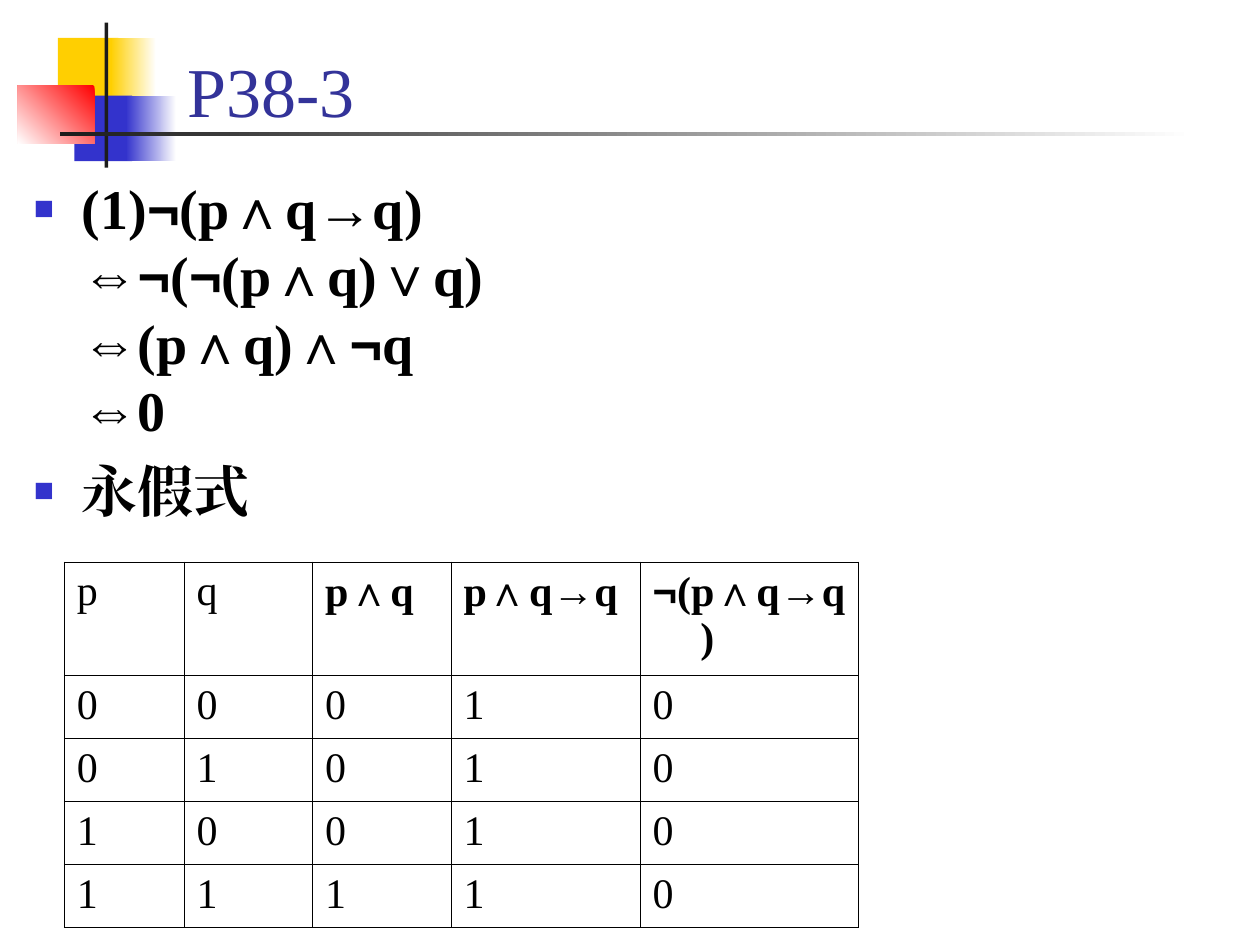
from itertools import groupby

from lxml.etree import SubElement
from pptx import Presentation
from pptx.dml.color import RGBColor as RGB
from pptx.enum.shapes import MSO_SHAPE as Shape
from pptx.enum.text import MSO_ANCHOR as Anchor
from pptx.oxml import parse_xml
from pptx.oxml.ns import nsdecls, qn
from pptx.util import Inches, Pt

THEME = {
    "white": "FFFFFF", "gold": "FFCF01", "blue": "3333CC", "red": "FF0000",
    "dark": "1C1C1C", "rule": "000000",
    "serif": "Times New Roman", "sans": "Arial",
    "title": {"size": Pt(40), "color": "333399", "bold": False},
    "body": {"size": Pt(32), "color": "000000", "bold": True},
    "cell": {"size": Pt(24), "color": "000000", "bold": False},
    "head": {"size": Pt(24), "color": "000000", "bold": True},
}
SIGNS = "¬∧∨→⇔"
HANG = Inches(0.38)


def write(para, text, style):
    """Add text as runs, with logic signs in the sans font."""
    for sign, chars in groupby(text, key=lambda c: c in SIGNS):
        run = para.add_run()
        run.text = "".join(chars)
        face = THEME["sans" if sign else "serif"]
        form = {"name": face, "size": style["size"], "bold": style["bold"]}
        for key, value in form.items():
            setattr(run.font, key, value)
        run.font.color.rgb = RGB.from_string(style["color"])
        SubElement(run.font._element, qn("a:ea"), typeface=face)


def hang(para):
    """Give a paragraph a hanging indent and return its properties."""
    props = para._p.get_or_add_pPr()
    props.set("marL", str(HANG))
    props.set("indent", str(-HANG))
    return props


deck = Presentation()
deck.slide_width, deck.slide_height = Inches(10), Inches(7.5)
slide = deck.slides.add_slide(deck.slide_layouts[6])

# Corner blocks: left, top, width, height, colours, clockwise angle
blocks = [
    (0.46, 0.3, 0.48, 0.52, ["gold"], 0),
    (0.88, 0.3, 0.36, 0.52, ["white", "gold"], 180),
    (0.59, 0.76, 0.46, 0.52, ["blue"], 0),
    (1, 0.76, 0.4, 0.52, ["white", "blue"], 180),
    (0.14, 0.68, 0.61, 0.46, ["red", "white"], 135),
    (0.83, 0.18, 0.03, 1.15, ["dark"], 0),
    (0.48, 1.05, 9, 0.03, ["white", "dark"], 180),
]
for *box, tones, angle in blocks:
    block = slide.shapes.add_shape(Shape.RECTANGLE, *map(Inches, box))
    block.shadow.inherit = False
    block.line.fill.background()
    colors = [RGB.from_string(THEME[tone]) for tone in tones]
    if len(colors) == 1:
        block.fill.solid()
        block.fill.fore_color.rgb = colors[0]
    else:
        block.fill.gradient()
        block.fill.gradient_angle = 360 - angle
        for stop, color, place in zip(block.fill.gradient_stops, colors, (0, 1)):
            stop.color.rgb = color
            stop.position = place

# Title
title = slide.shapes.add_textbox(*map(Inches, (1.39, 0.17, 8.52, 0.92))).text_frame
title.word_wrap = True
title.vertical_anchor = Anchor.BOTTOM
write(title.paragraphs[0], "P38-3", THEME["title"])

# Derivation
body = slide.shapes.add_textbox(*map(Inches, (0.17, 1.33, 8.85, 5.58))).text_frame
body.word_wrap = True
points = [
    ["(1)¬(p∧q→q)", "⇔¬(¬(p∧q)∨q)", "⇔(p∧q)∧¬q", "⇔0"],
    ["永假式"],
]
for i, lines in enumerate(points):
    para = body.add_paragraph() if i else body.paragraphs[0]
    props = hang(para)
    tint = SubElement(props, qn("a:buClr"))
    SubElement(tint, qn("a:srgbClr"), val=THEME["blue"])
    SubElement(props, qn("a:buSzPct"), val="60000")
    SubElement(props, qn("a:buFont"), typeface=THEME["sans"])
    SubElement(props, qn("a:buChar"), char="■")
    if i:
        para.space_before = Pt(8)
    for j, line in enumerate(lines):
        if j:
            para.add_line_break()
        write(para, line, THEME["body"])

# Truth table
rows = [["p", "q", "p∧q", "p∧q→q", "¬(p∧q→q)"],
        "00010", "01010", "10010", "11110"]
widths = [0.95, 1.02, 1.1, 1.5, 1.73]
frame = slide.shapes.add_table(len(rows), len(widths),
                               *map(Inches, (0.51, 4.46, 6.3, 2.5)))
table = frame.table
table.first_row = table.horz_banding = False
for col, width in zip(table.columns, widths):
    col.width = Inches(width)
for r, row in enumerate(rows):
    table.rows[r].height = Inches(0.5)
    for c, text in enumerate(row):
        cell = table.cell(r, c)
        cell.fill.background()
        props = cell._tc.get_or_add_tcPr()
        for k, side in enumerate(("lnL", "lnR", "lnT", "lnB")):
            props.insert(k, parse_xml(
                f'<a:{side} {nsdecls("a")} w="{Pt(0.45)}"><a:solidFill>'
                f'<a:srgbClr val="{THEME["rule"]}"/></a:solidFill></a:{side}>'))
        para = cell.text_frame.paragraphs[0]
        hang(para)
        write(para, text, THEME["head" if len(text) > 1 else "cell"])

deck.save("out.pptx")
